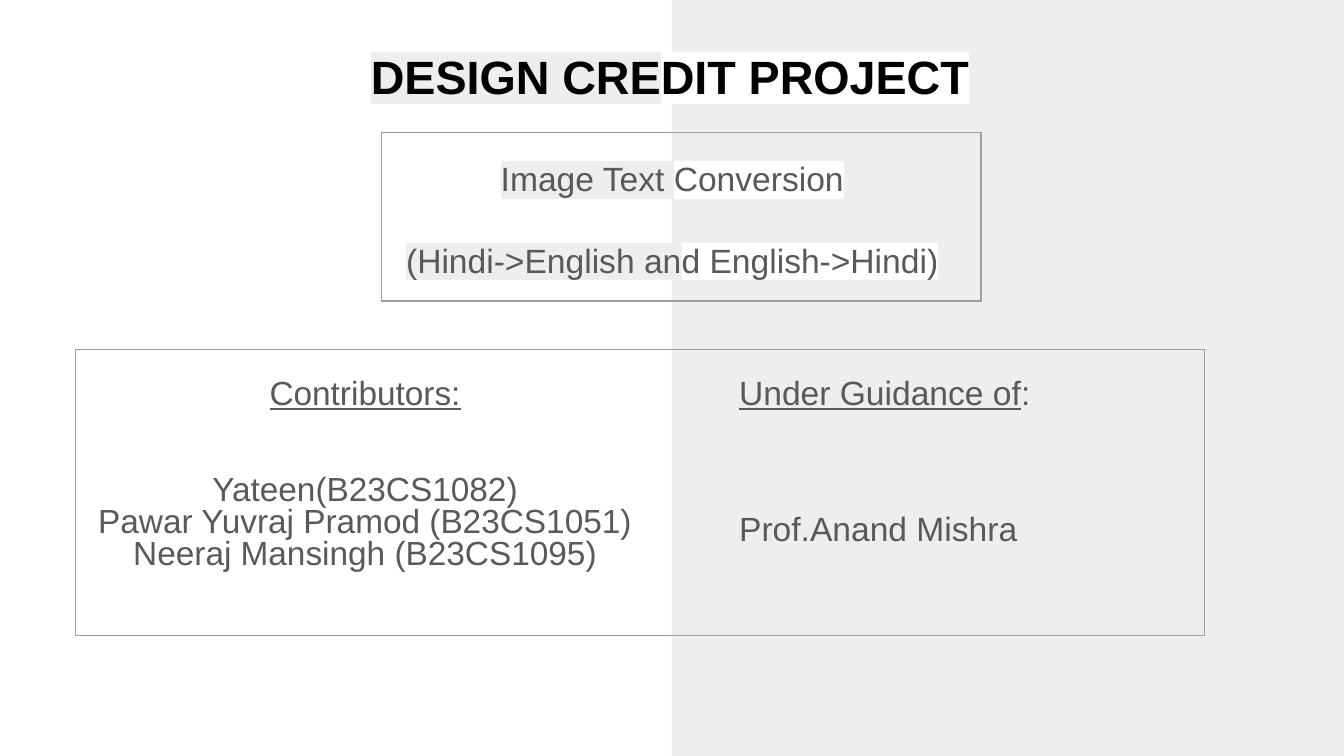
from dataclasses import dataclass
from typing import Any

from lxml import etree
from pptx import Presentation
from pptx import util as u
from pptx.dml import color
from pptx.enum import shapes, text
from pptx.oxml import ns

WHITE, PALE, GREY, BLACK, RULE = "FFFFFF", "EEEEEE", "595959", "000000", "9E9E9E"


def rgb(value):
    return color.RGBColor.from_string(value)


def add_colour(parent, tag, value):
    node = etree.SubElement(parent, ns.qn(tag))
    etree.SubElement(node, ns.qn("a:srgbClr"), val=value)
    return node


@dataclass
class SlideWriter:
    """Draws the elements of one slide in a shared style."""

    slide: Any
    font: str = "Arial"
    ink: str = GREY
    size: float = 18

    def panel(self, left, top, width, height, fill):
        panel = self.slide.shapes.add_shape(
            shapes.MSO_SHAPE.RECTANGLE, *map(u.Cm, (left, top, width, height)))
        panel.shadow.inherit = False
        panel.fill.solid()
        panel.fill.fore_color.rgb = rgb(fill)
        panel.line.fill.background()

    def frame(self, left, top, width, height):
        table = self.slide.shapes.add_table(
            1, 1, *map(u.Cm, (left, top, width, height))).table
        table.first_row = table.horz_banding = False
        cell = table.cell(0, 0)
        cell.fill.background()
        borders = cell._tc.get_or_add_tcPr()
        for place, side in enumerate(("a:lnL", "a:lnR", "a:lnT", "a:lnB")):
            border = etree.Element(ns.qn(side), w=str(u.Pt(0.75)))
            add_colour(border, "a:solidFill", RULE)
            borders.insert(place, border)

    def run(self, paragraph, words, size, ink, bold=False, underline=False, highlight=None):
        run = paragraph.add_run()
        run.text = words
        font = run.font
        font.name, font.size = self.font, u.Pt(size or self.size)
        font.bold, font.underline = bold, underline
        font.color.rgb = rgb(ink or self.ink)
        if highlight:
            properties = run._r.get_or_add_rPr()
            mark = add_colour(properties, "a:highlight", highlight)
            properties.find(ns.qn("a:solidFill")).addnext(mark)

    def text(self, left, top, width, height, lines, align="CENTER", anchor="TOP",
             size=None, ink=None, spacing=1.0, gaps=None):
        box = self.slide.shapes.add_textbox(*map(u.Cm, (left, top, width, height)))
        frame = box.text_frame
        frame.word_wrap = True
        frame.vertical_anchor = text.MSO_ANCHOR[anchor]
        frame.margin_left = frame.margin_right = u.Cm(0.25)
        frame.margin_top = frame.margin_bottom = u.Cm(0.25)
        for number, runs in enumerate(lines):
            paragraph = frame.add_paragraph() if number else frame.paragraphs[0]
            paragraph.alignment = text.PP_ALIGN[align]
            paragraph.line_spacing = spacing
            if gaps and number in gaps:
                paragraph.space_before = u.Pt(gaps[number])
            for words, style in runs:
                self.run(paragraph, words, size, ink, **style)


def two_tone(left_words, right_words, **style):
    return [(left_words, {"highlight": PALE, **style}),
            (right_words, {"highlight": WHITE, **style})]


def main():
    deck = Presentation()
    deck.slide_width, deck.slide_height = u.Cm(25.4), u.Cm(14.29)
    writer = SlideWriter(deck.slides.add_slide(deck.slide_layouts[6]))

    writer.panel(12.7, 0, 12.7, 14.29, PALE)
    writer.text(2.87, 0.65, 19.58, 1.5,
                [two_tone("DESIGN CRE", "DIT PROJECT", bold=True)],
                size=25, ink=BLACK)

    contributors = ["Yateen(B23CS1082)", "Pawar Yuvraj Pramod (B23CS1051)",
                    "Neeraj Mansingh (B23CS1095)"]
    writer.text(0.74, 6.93, 12.32, 4.32,
                [[("Contributors:", {"underline": True})]]
                + [[(name, {})] for name in contributors],
                size=17.9, spacing=0.8, gaps={1: 34.5})
    writer.text(13.72, 3.51, 10.67, 10.26,
                [[("Under Guidance of", {"underline": True}), (":", {})],
                 [("Prof.Anand Mishra", {})]],
                align="LEFT", anchor="MIDDLE", spacing=1.15, gaps={1: 48})
    writer.text(7.37, 2.74, 10.67, 3.73,
                [two_tone("Image Text ", "Conversion"),
                 two_tone("(Hindi->English an", "d English->Hindi)")],
                gaps={1: 22})

    writer.frame(1.42, 6.6, 21.34, 5.41)
    writer.frame(7.21, 2.51, 11.33, 3.18)
    deck.save("out.pptx")


if __name__ == "__main__":
    main()
